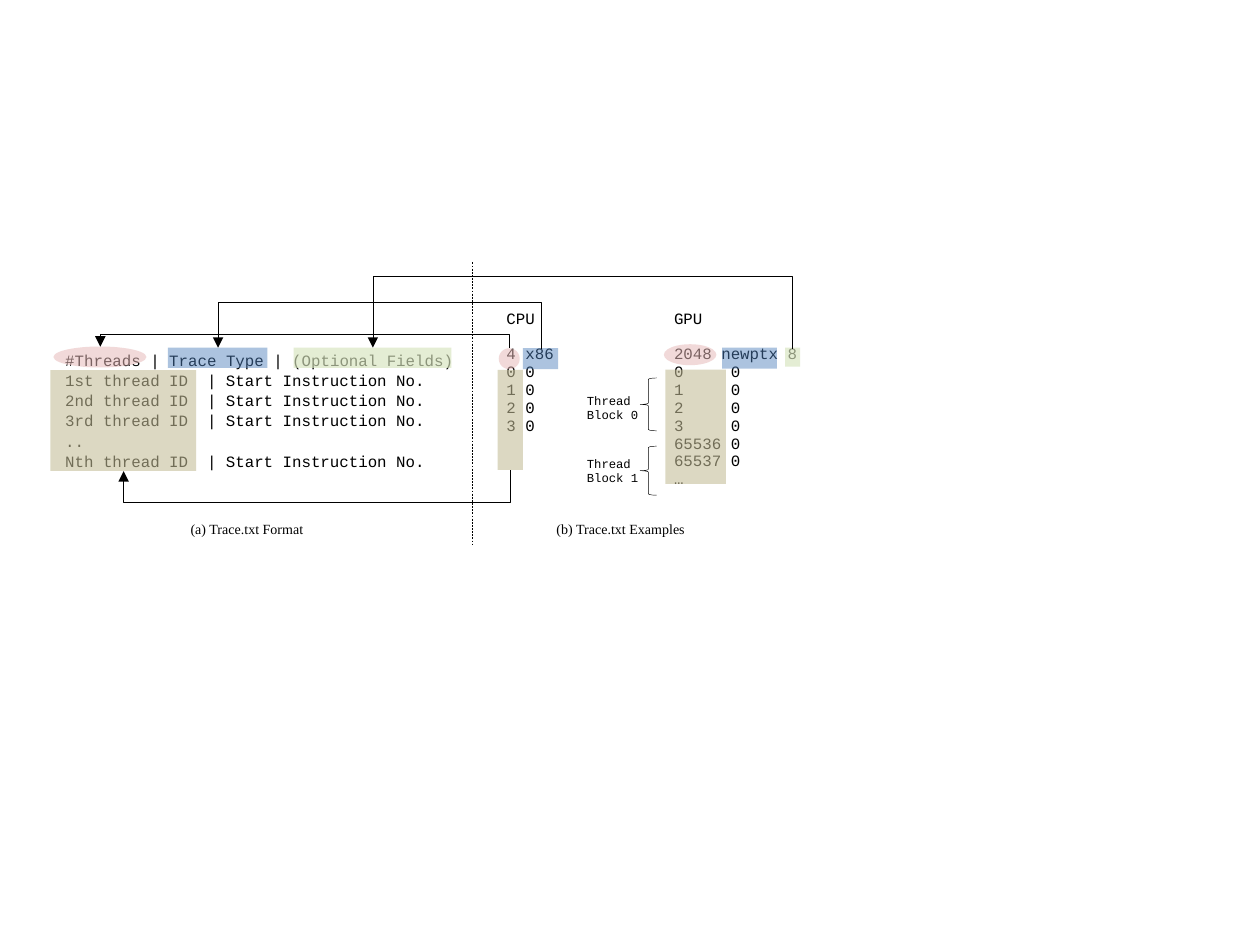
from dataclasses import dataclass

from lxml.etree import SubElement
from pptx import Presentation
from pptx.dml.color import RGBColor
from pptx.enum.dml import MSO_LINE
from pptx.enum.shapes import MSO_CONNECTOR, MSO_SHAPE
from pptx.enum.text import PP_ALIGN
from pptx.oxml.ns import qn
from pptx.util import Pt


@dataclass(frozen=True)
class Theme:
    """Colours, fonts and type sizes of the slide."""
    ink: str = "000000"
    paper: str = "FFFFFF"
    code: str = "Courier New"
    serif: str = "Times New Roman"
    body: float = 9
    label: float = 8
    small: float = 7
    char: float = 5.4
    line: float = 10.2
    hair: float = 0.25


T = Theme()

# Kind of field: shape, colour, opacity in percent
KINDS = {
    "count": (MSO_SHAPE.OVAL, "E6B9B8", 53),
    "type": (MSO_SHAPE.RECTANGLE, "4F81BD", 47),
    "ids": (MSO_SHAPE.RECTANGLE, "C4BD97", 58),
    "extra": (MSO_SHAPE.RECTANGLE, "D7E4BD", 65),
}
# Kind, left, top, width, height
MARKS = [
    ("count", 285, 199, 12, 12),
    ("count", 379.4, 196.7, 30, 12),
    ("type", 298.8, 199, 20.2, 12),
    ("type", 412.6, 198.7, 31.4, 12),
    ("ids", 284.4, 211.3, 14.4, 57.3),
    ("ids", 380.2, 211.3, 34.6, 65.3),
    ("count", 30.5, 198, 53.2, 12),
    ("type", 95.9, 198.7, 56.9, 11.5),
    ("ids", 28.8, 211.5, 83.3, 57.6),
    ("extra", 167.8, 198.7, 90.2, 11.5),
    ("extra", 448.6, 198.7, 8.6, 10.8),
]
# Start x, end x, y of both ends, y of the long run
ARROWS = [
    (291, 57.3, 198.4, 191),
    (309, 124.6, 199, 173.5),
    (291.6, 70.6, 269, 286.5),
    (452.9, 213.1, 199, 158.7),
]
ROW = "{} thread ID\t| Start Instruction No."
FORMAT = ["#Threads | Trace Type | (Optional Fields)",
          *(ROW.format(n) for n in ("1st", "2nd", "3rd")),
          "..", ROW.format("Nth")]
CPU = ["CPU", "4 x86", "0 0", "1 0", "2 0", "3 0"]
GPU = ["GPU", "2048 newptx 8", *(f"{n}\t0" for n in range(4)),
       "65536 0", "65537 0", "…"]
CAPTIONS = [("(a) Trace.txt Format", 66.2, 150),
            ("(b) Trace.txt Examples", 270.7, 168)]
# Lines, label top, label width, brace top, brace height
BLOCKS = [(["Thread", "Block 0"], 221, 44.6, 216, 30.2),
          (["Thread Block 1"], 257, 51.8, 255, 28)]


def paint(part, color):
    """Give a fill or a font a solid colour."""
    if hasattr(part, "solid"):
        part.solid()
        part.fore_color.rgb = RGBColor.from_string(color)
    else:
        part.color.rgb = RGBColor.from_string(color)


def write(frame, lines, font=T.code, size=T.body, align=PP_ALIGN.LEFT,
          pitch=None, tab=None, gap=None):
    """Write lines as paragraphs; gap is the space above the second."""
    frame.word_wrap = True
    for i, line in enumerate(lines):
        para = frame.paragraphs[0] if i == 0 else frame.add_paragraph()
        para.alignment = align
        if pitch:
            para.line_spacing = pitch
        if gap and i == 1:
            para.space_before = Pt(gap)
        run = para.add_run()
        run.text = line
        run.font.name, run.font.size = font, Pt(size)
        paint(run.font, T.ink)
        if tab and "\t" in line:
            stops = SubElement(para._p.get_or_add_pPr(), qn("a:tabLst"))
            SubElement(stops, qn("a:tab"), pos=str(Pt(tab)), algn="l")


def box(x, y, w, h, lines, **form):
    """Add a text box."""
    frame = shapes.add_textbox(Pt(x), Pt(y), Pt(w), Pt(h)).text_frame
    write(frame, lines, **form)


def mark(kind, x, y, w, h):
    """Add a see-through highlight."""
    form, color, alpha = KINDS[kind]
    shape = shapes.add_shape(form, Pt(x), Pt(y), Pt(w), Pt(h))
    shape.shadow.inherit = False
    paint(shape.fill, color)
    shape.line.fill.background()
    tone = shape.element.spPr.find(".//" + qn("a:srgbClr"))
    SubElement(tone, qn("a:alpha"), val=str(alpha * 1000))


def brace(y, h):
    """Add a left brace beside a thread block."""
    shape = shapes.add_shape(MSO_SHAPE.LEFT_BRACE, Pt(365.8), Pt(y), Pt(9.4), Pt(h))
    shape.shadow.inherit = False
    shape.fill.background()
    paint(shape.line, T.ink) if hasattr(shape.line, "solid") else ink(shape.line)


def ink(line):
    """Make a line thin and dark."""
    line.width = Pt(T.hair)
    paint(line.fill, T.ink)


def link(kind, x, y, to_x, to_y):
    """Add a thin connector without a shadow."""
    wire = shapes.add_connector(kind, Pt(x), Pt(y), Pt(to_x), Pt(to_y))
    ink(wire.line)
    SubElement(wire.element.spPr, qn("a:effectLst"))
    return wire


def arrow(start, end, y, run, thin=0.5):
    """Add an elbow arrow that leaves and comes back at height y."""
    mid, span = (start + end) / 2, start - end
    wire = link(MSO_CONNECTOR.ELBOW, mid - thin / 2, y - span / 2,
                mid + thin / 2, y + span / 2)
    props = wire.element.spPr
    frame = props.find(qn("a:xfrm"))
    above = run < y
    frame.set("rot", str((270 if above else 90) * 60000))
    if above:
        frame.set("flipV", "1")
    bend = round((abs(run - y) + thin / 2) / thin * 100000)
    guides = props.find(qn("a:prstGeom")).find(qn("a:avLst"))
    SubElement(guides, qn("a:gd"), name="adj1", fmla=f"val {bend}")
    SubElement(props.find(qn("a:ln")), qn("a:tailEnd"), type="triangle")


deck = Presentation()
deck.slide_width, deck.slide_height = Pt(720), Pt(540)
shapes = deck.slides.add_slide(deck.slide_layouts[6]).shapes

table = shapes.add_table(1, 2, Pt(282.2), Pt(174.2), Pt(209.8), Pt(108)).table
table.first_row = table.horz_banding = False
for i, (lines, width) in enumerate([(CPU, 95.8), (GPU, 114)]):
    table.columns[i].width = Pt(width)
    cell = table.cell(0, i)
    paint(cell.fill, T.paper)
    write(cell.text_frame, lines, gap=T.line, tab=6 * T.char)

box(30.2, 196, 246.2, 72.6, FORMAT, pitch=1.07, tab=15 * T.char)
for text, x, width in CAPTIONS:
    box(x, 293.8, width, 17.3, [text], font=T.serif, size=T.label,
        align=PP_ALIGN.CENTER)
link(MSO_CONNECTOR.STRAIGHT, 270, 150, 270, 311).line.dash_style = MSO_LINE.DASH
for item in MARKS:
    mark(*item)
for item in ARROWS:
    arrow(*item)
for lines, top, width, brace_top, height in BLOCKS:
    brace(brace_top, height)
    box(328.3, top, width, 24.5, lines, size=T.small)

deck.save("out.pptx")
